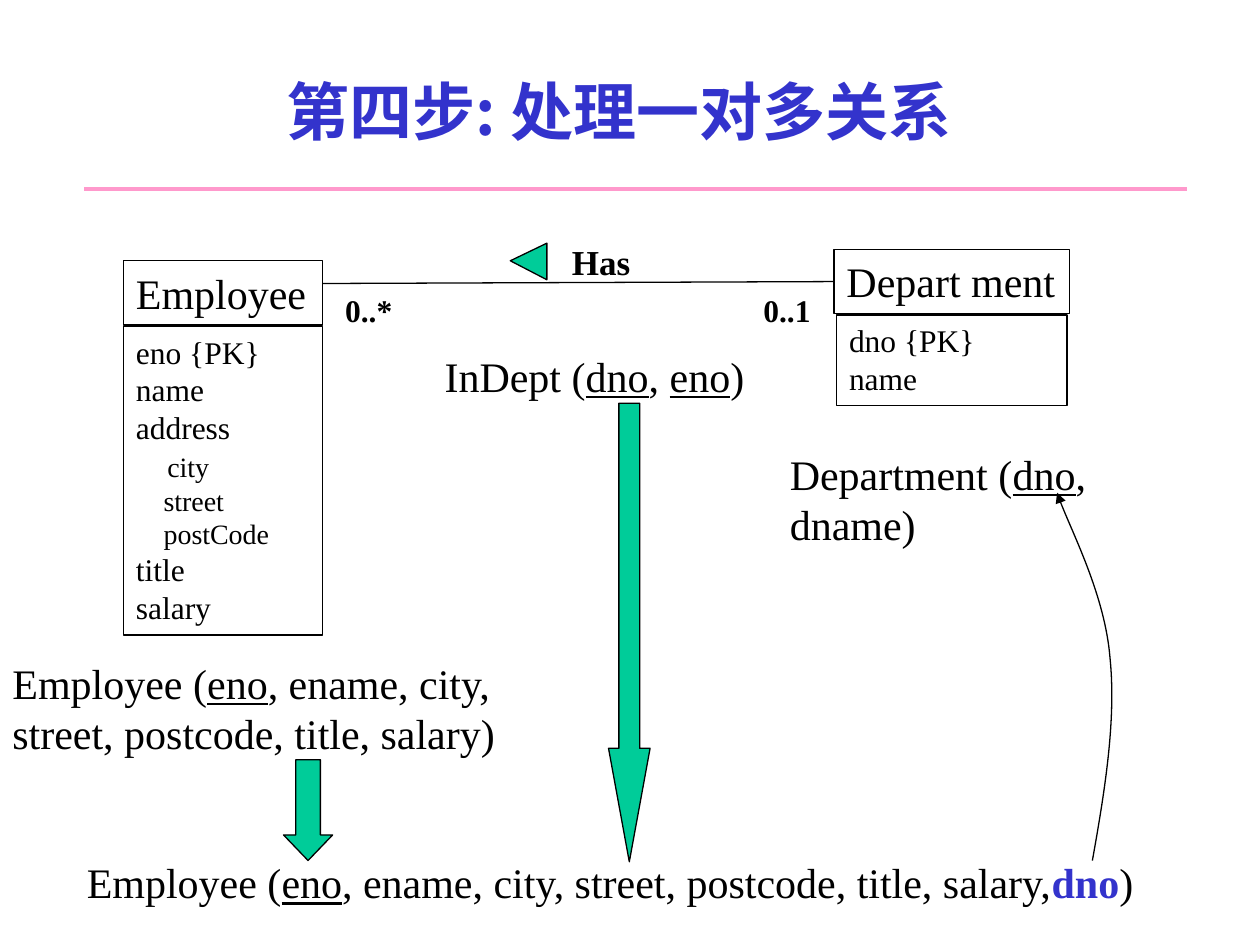
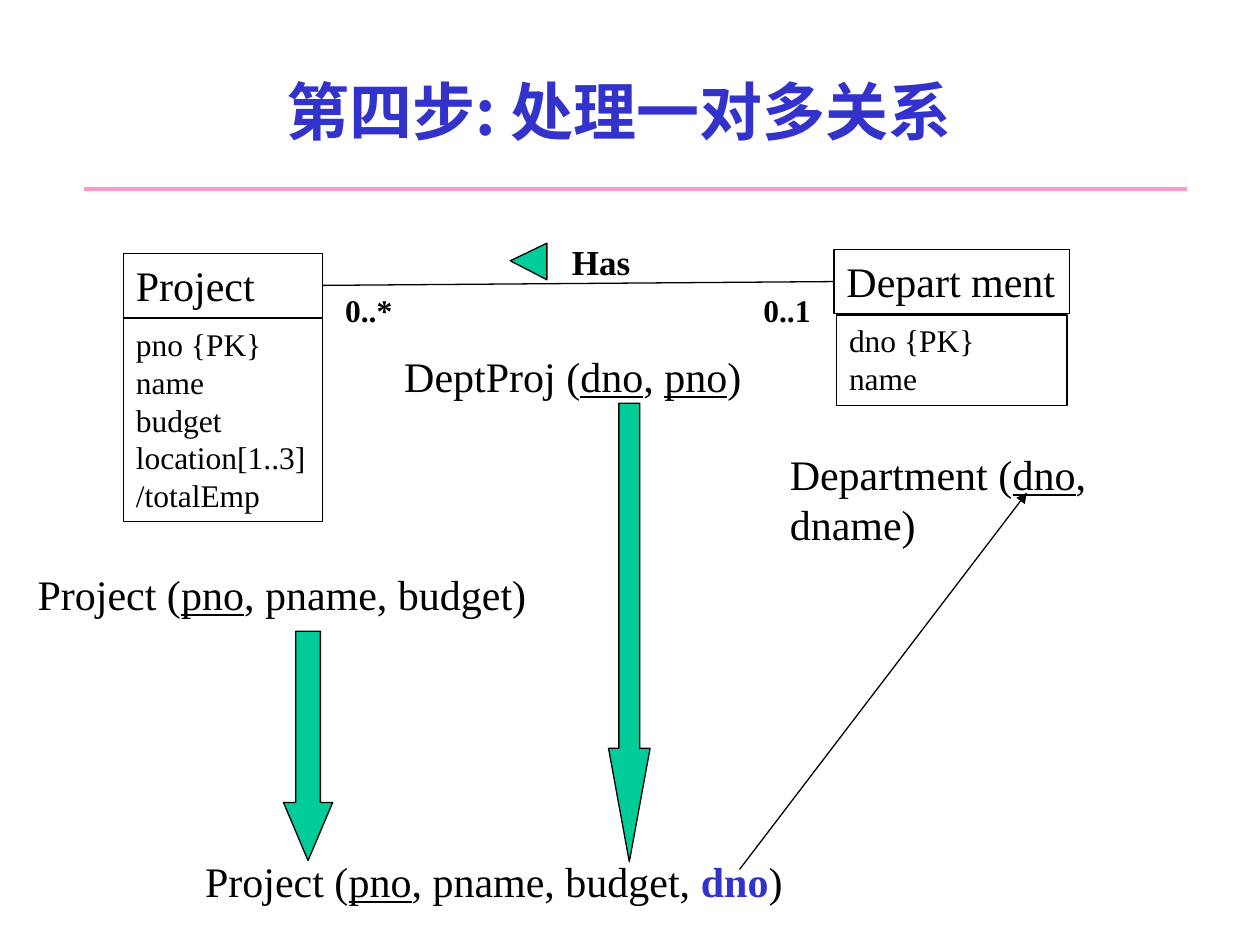
"""Builds two slides on mapping one-to-many relationships to relations."""
from dataclasses import dataclass
from itertools import chain

from lxml import etree
from pptx import Presentation
from pptx.dml.color import RGBColor
from pptx.enum.shapes import MSO_CONNECTOR, MSO_SHAPE
from pptx.enum.text import MSO_ANCHOR, MSO_AUTO_SIZE, PP_ALIGN
from pptx.oxml.ns import qn
from pptx.util import Inches, Pt

RECTANGLE = MSO_SHAPE.RECTANGLE
DOWN_ARROW = MSO_SHAPE.DOWN_ARROW
STRAIGHT = MSO_CONNECTOR.STRAIGHT
TOP, MIDDLE = MSO_ANCHOR.TOP, MSO_ANCHOR.MIDDLE
LEFT, CENTER = PP_ALIGN.LEFT, PP_ALIGN.CENTER
GROW, FIXED = MSO_AUTO_SIZE.SHAPE_TO_FIT_TEXT, MSO_AUTO_SIZE.NONE
LEFT_SIDE, RIGHT_SIDE = 1, 3
PLAIN, KEY, FOREIGN = "plain", "key", "foreign"


@dataclass(frozen=True)
class Theme:
    """Colours, fonts and sizes shared by the slides."""
    ink: RGBColor = RGBColor(0x00, 0x00, 0x00)
    accent: RGBColor = RGBColor(0x33, 0x33, 0xCC)
    rule: RGBColor = RGBColor(0xFF, 0x99, 0xCC)
    arrow: RGBColor = RGBColor(0x00, 0xCC, 0x99)
    title_font: str = "Noto Sans CJK SC"
    body_font: str = "Times New Roman"
    title_size: float = 36
    relation_size: float = 24
    label_size: float = 20
    attribute_size: float = 18
    nested_size: float = 16
    thin: float = 0.75
    thick: float = 2


THEME = Theme()
TITLE = "第四步: 处理一对多关系"
NESTED_INDENTS = {"city": 0.25, "street": 0.22, "postCode": 0.22}
DEPARTMENT = [("Department (", PLAIN), ("dno", KEY), (", dname)", PLAIN)]


def inches(values):
    """Convert numbers to lengths."""
    return [Inches(value) for value in values]


def format_run(run, size, bold=False, color=THEME.ink, font=THEME.body_font):
    """Apply the font of one run."""
    run.font.name = font
    run.font.size = Pt(size)
    run.font.bold = bold
    run.font.color.rgb = color


def set_frame(shape, wrap=True, anchor=TOP, auto_size=GROW):
    """Set how a shape holds its text."""
    frame = shape.text_frame
    frame.word_wrap = wrap
    frame.auto_size = auto_size
    frame.vertical_anchor = anchor
    return frame


def style_shape(shape, fill=None):
    """Give a shape a thin outline and an optional fill."""
    shape.shadow.inherit = False
    shape.line.color.rgb = THEME.ink
    shape.line.width = Pt(THEME.thin)
    if fill is None:
        shape.fill.background()
    else:
        shape.fill.solid()
        shape.fill.fore_color.rgb = fill


def add_arrowhead(shape):
    """End the line of a shape with a triangle."""
    line = shape.line._get_or_add_ln()
    etree.SubElement(line, qn("a:tailEnd"), type="triangle")


def add_line(slide, start, end, color=THEME.ink, width=THEME.thin):
    """Draw a straight line between two points."""
    connector = slide.shapes.add_connector(STRAIGHT, *inches(start + end))
    connector.line.color.rgb = color
    connector.line.width = Pt(width)
    etree.SubElement(connector.element.spPr, qn("a:effectLst"))
    return connector


def add_label(slide, box, text, size, wrap=False):
    """Write a bold label."""
    frame = set_frame(slide.shapes.add_textbox(*inches(box)), wrap)
    frame.text = text
    format_run(frame.paragraphs[0].runs[0], size, bold=True)


def add_title(slide, box):
    """Write the slide title with the rule below it."""
    left, top, width, height = box
    shape = slide.shapes.add_textbox(*inches(box))
    frame = set_frame(shape, anchor=MIDDLE, auto_size=FIXED)
    frame.text = TITLE
    paragraph = frame.paragraphs[0]
    paragraph.alignment = CENTER
    run = paragraph.runs[0]
    format_run(run, THEME.title_size, True, THEME.accent, THEME.title_font)
    etree.SubElement(run.font._element, qn("a:ea"), typeface=THEME.title_font)
    bottom = top + height
    add_line(slide, (left + 0.59, bottom), (left + width - 0.33, bottom), THEME.rule, THEME.thick)


def add_compartment(slide, box, lines, size, wrap=True):
    """Draw one outlined compartment of a class box."""
    shape = slide.shapes.add_shape(RECTANGLE, *inches(box))
    style_shape(shape)
    frame = set_frame(shape, wrap)
    frame.text = "\n".join(lines)
    for paragraph in frame.paragraphs:
        paragraph.alignment = LEFT
        indent = NESTED_INDENTS.get(paragraph.text)
        format_run(paragraph.runs[0], THEME.nested_size if indent else size)
        if indent:
            paragraph._p.get_or_add_pPr().set("marL", str(Inches(indent)))
        if paragraph.text == "city":
            paragraph.space_before = Pt(2)
    return shape


def add_entity(slide, box, name, attributes, inset=0.0, wrap=True):
    """Draw a class box and return its name compartment."""
    left, top, width, height = box
    name_height, step = 0.51, 0.52
    name_shape = add_compartment(slide, (left, top, width, name_height), [name], THEME.relation_size, wrap)
    body = (left + inset, top + step, width - 2 * inset, height - step)
    add_compartment(slide, body, attributes, THEME.attribute_size)
    return name_shape


def add_association(slide, box, many_shape, one_shape):
    """Draw the Has association with its direction and multiplicities."""
    left, top, width, height = box
    line_top = top + height
    connector = add_line(slide, (left, line_top), (left + width, line_top))
    middle = many_shape.top + many_shape.height // 2
    if abs(middle - Inches(line_top)) < Inches(0.03):
        connector.begin_connect(many_shape, RIGHT_SIDE)
    connector.end_connect(one_shape, LEFT_SIDE)
    add_label(slide, (left + 1.88, top, 0.85, 0.43), "Has", THEME.label_size, wrap=True)
    for offset, text in ((0.08, "0..*"), (3.4, "0..1")):
        add_label(slide, (left + offset, line_top + 0.01, 0.58, 0.4), text, THEME.attribute_size)
    tip, back = left + 1.49, left + 1.78
    corners = [inches(point) for point in ((back, top + 0.07), (tip, top + 0.21), (back, top + 0.36))]
    builder = slide.shapes.build_freeform(*corners[0])
    builder.add_line_segments(corners[1:], close=True)
    style_shape(builder.convert_to_shape(), THEME.arrow)


def add_relation(slide, box, pieces, wrap=True):
    """Write a relation schema with its keys marked."""
    frame = set_frame(slide.shapes.add_textbox(*inches(box)), wrap)
    for text, style in pieces:
        run = frame.paragraphs[0].add_run()
        run.text = text
        foreign = style == FOREIGN
        format_run(run, THEME.relation_size, foreign, THEME.accent if foreign else THEME.ink)
        run.font.underline = style == KEY


def add_down_arrow(slide, box, head):
    """Draw a block arrow whose head length is relative to its width."""
    shape = slide.shapes.add_shape(DOWN_ARROW, *inches(box))
    shape.adjustments[0] = 0.5
    shape.adjustments[1] = head
    style_shape(shape, THEME.arrow)


def add_curved_arrow(slide, points):
    """Draw a chain of cubic curves ending in an arrowhead."""
    corners = [inches(point) for point in points]
    builder = slide.shapes.build_freeform(*corners[0])
    builder.add_line_segments(corners[1:], close=False)
    shape = builder.convert_to_shape()
    style_shape(shape)
    add_arrowhead(shape)
    segments = shape.element.xpath(".//a:lnTo")
    for first in range(0, len(segments), 3):
        group = segments[first:first + 3]
        curve = etree.Element(qn("a:cubicBezTo"))
        group[0].addprevious(curve)
        curve.extend(list(chain.from_iterable(list(segment) for segment in group)))
        for segment in group:
            segment.getparent().remove(segment)


def add_mapping_slide(presentation, many_box, many_name, attributes):
    """Add a slide with the parts that every mapping shows."""
    slide = presentation.slides.add_slide(presentation.slide_layouts[6])
    add_title(slide, (0.08, 0.25, 9.67, 1.25))
    many_shape = add_entity(slide, many_box, many_name, attributes)
    one_shape = add_entity(slide, (6.62, 1.98, 1.87, 1.24), "Depart ment", ["dno {PK}", "name"], 0.02, wrap=False)
    add_association(slide, (2.56, 1.86, 4.09, 0.39), many_shape, one_shape)
    add_relation(slide, (6.17, 3.51, 3.63, 0.5), DEPARTMENT, wrap=False)
    add_down_arrow(slide, (4.83, 3.2, 0.33, 3.64), 2.73)
    return slide


def add_employee_slide(presentation):
    """Map the employee side of a department."""
    attributes = ["eno {PK}", "name", "address", *NESTED_INDENTS, "title", "salary"]
    slide = add_mapping_slide(presentation, (0.98, 2.07, 1.58, 2.97), "Employee", attributes)
    head = [("Employee (", PLAIN), ("eno", KEY)]
    columns = ", ename, city, street, postcode, title, salary"
    add_relation(slide, (0, 5.17, 4.25, 0.9), head + [(columns + ")", PLAIN)])
    link = [("InDept (", PLAIN), ("dno", KEY), (", ", PLAIN), ("eno", KEY), (")", PLAIN)]
    add_relation(slide, (3.43, 2.73, 2.58, 0.5), link, wrap=False)
    add_down_arrow(slide, (2.25, 6.03, 0.39, 0.8), 0.52)
    result = head + [(columns + ",", PLAIN), ("dno", FOREIGN), (")", PLAIN)]
    add_relation(slide, (0.59, 6.75, 8.71, 0.5), result)
    add_curved_arrow(slide, [(8.67, 6.83), (8.77, 6.27), (8.86, 5.71), (8.81, 5.22),
                             (8.77, 4.73), (8.46, 4.13), (8.39, 3.91)])


def add_project_slide(presentation):
    """Map the project side of a department."""
    attributes = ["pno {PK}", "name", "budget", "location[1..3]", "/totalEmp"]
    slide = add_mapping_slide(presentation, (0.98, 2.01, 1.58, 2.13), "Project", attributes)
    head = [("Project (", PLAIN), ("pno", KEY)]
    columns = ", pname, budget"
    add_relation(slide, (0.2, 4.46, 4.25, 0.5), head + [(columns + ")", PLAIN)])
    link = [("DeptProj (", PLAIN), ("dno", KEY), (", ", PLAIN), ("pno", KEY), (")", PLAIN)]
    add_relation(slide, (3.11, 2.73, 2.88, 0.5), link, wrap=False)
    add_down_arrow(slide, (2.25, 5.01, 0.39, 1.82), 1.18)
    result = head + [(columns + ", ", PLAIN), ("dno", FOREIGN), (")", PLAIN)]
    add_relation(slide, (1.53, 6.74, 6.77, 0.5), result)
    add_arrowhead(add_line(slide, (5.87, 6.9), (8.15, 3.91)))


def main():
    """Build and save the presentation."""
    presentation = Presentation()
    presentation.slide_width = Inches(10)
    presentation.slide_height = Inches(7.5)
    add_employee_slide(presentation)
    add_project_slide(presentation)
    presentation.save("out.pptx")


if __name__ == "__main__":
    main()
